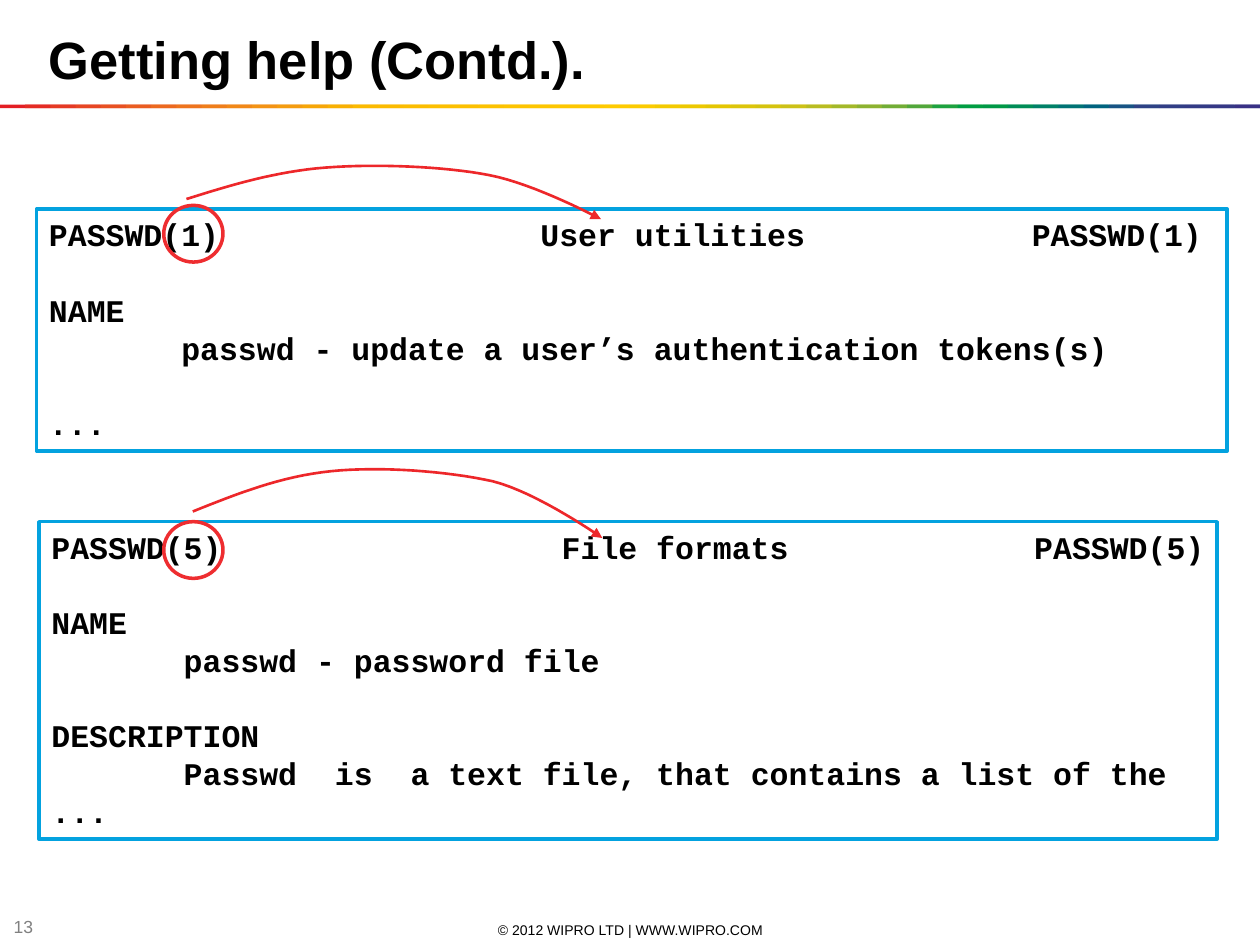
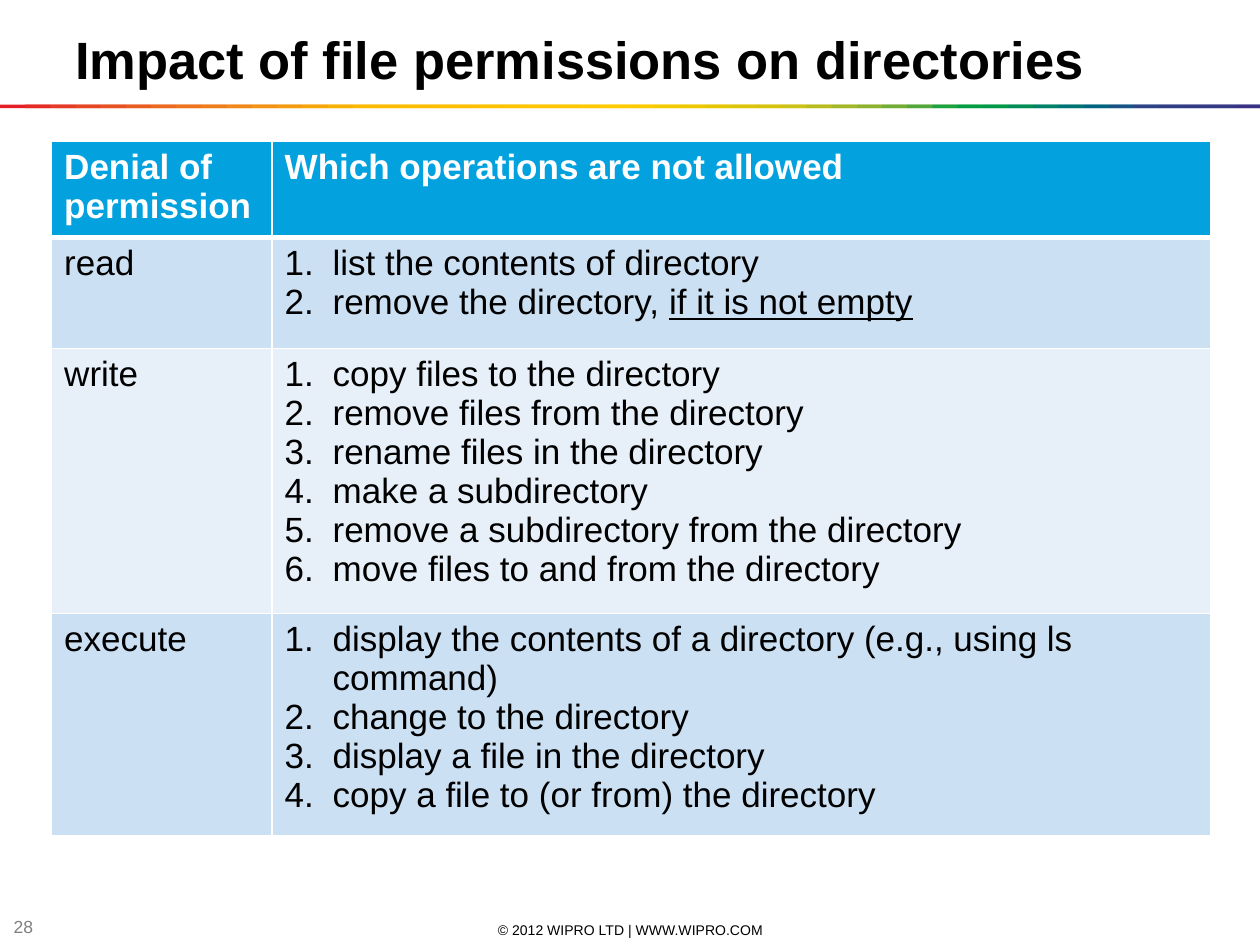
import pptx
import pptx.util
import pptx.dml.color
import pptx.enum.shapes
import pptx.enum.text
import pptx.oxml
import pptx.oxml.ns
from lxml import etree

Inches = pptx.util.Inches
Pt = pptx.util.Pt
RGBColor = pptx.dml.color.RGBColor
MSO_SHAPE = pptx.enum.shapes.MSO_SHAPE
MSO_ANCHOR = pptx.enum.text.MSO_ANCHOR
PP_ALIGN = pptx.enum.text.PP_ALIGN
qn = pptx.oxml.ns.qn

BLACK = RGBColor(0x00, 0x00, 0x00)
WHITE = RGBColor(0xFF, 0xFF, 0xFF)
GREY = RGBColor(0x80, 0x80, 0x80)
BLUE = RGBColor(0x03, 0xA2, 0xDF)
RING_RED = RGBColor(0xEE, 0x2D, 0x30)
ARROW_RED = RGBColor(0xED, 0x27, 0x2A)
ROW_DARK = RGBColor(0xCC, 0xE0, 0xF3)
ROW_LIGHT = RGBColor(0xE7, 0xF0, 0xF9)
RAINBOW = [RGBColor.from_string(code) for code in """
E31E24 E42C24 E53A24 E74623 E85122 EA5D21 EC691F EE741D EF7E1A F18817
F39314 F49C0F F6A607 F8B002 FBBA00 FBBB00 FBBD00 FCBF00 FCC000 FCC200
FDC400 FDC600 FDC700 FEC900 FECB00 FBCB00 F3CA00 ECC800 E4C602 DCC50A
D5C30E CCC117 B8BC21 A3B829 8CB230 71AD36 51A73B 1DA240 009D43 009846
008C57 008068 007275 00637F 185384 2E4285 313E85 333B85 353885 393185
""".split()]

SLIDE_WIDTH = 10
SANS = "Arial"
MONO = "Courier New"
MONO_SIZE = 18
CHARACTER_WIDTH = 0.15
BLANK_LINE = 21.5
FOOTER = "© 2012 WIPRO LTD | WWW.WIPRO.COM"


def style_runs(paragraph, size, color=BLACK, bold=False, font=SANS):
    for run in paragraph.runs:
        run.font.name = font
        run.font.size = Pt(size)
        run.font.bold = bold
        run.font.color.rgb = color


def add_label(slide, box, text, size, color=BLACK, bold=False, align=PP_ALIGN.LEFT, inset=0):
    frame = slide.shapes.add_textbox(*map(Inches, box)).text_frame
    frame.word_wrap = True
    frame.vertical_anchor = MSO_ANCHOR.MIDDLE
    frame.margin_top = frame.margin_bottom = Inches(inset)
    frame.text = text
    frame.paragraphs[0].alignment = align
    style_runs(frame.paragraphs[0], size, color, bold)


def add_shape(shapes, kind, box, fill=None, line=None):
    shape = shapes.add_shape(kind, *map(Inches, box))
    shape.shadow.inherit = False
    if fill is None:
        shape.fill.background()
    else:
        shape.fill.solid()
        shape.fill.fore_color.rgb = fill
    if line is None:
        shape.line.fill.background()
    else:
        shape.line.color.rgb = line
        shape.line.width = Pt(2)
    return shape


def add_rainbow_band(slide, top, height):
    band = slide.shapes.add_group_shape()
    step = SLIDE_WIDTH / len(RAINBOW)
    for index, color in enumerate(RAINBOW):
        left = index * step
        width = min(2 * step, SLIDE_WIDTH - left)
        add_shape(band.shapes, MSO_SHAPE.RECTANGLE, (left, top, width, height), color)


def add_framed_slide(presentation, title, title_left, number):
    slide = presentation.slides.add_slide(presentation.slide_layouts[6])
    add_label(slide, (3.42, 7.3, 3.17, 0.16), FOOTER, 8, align=PP_ALIGN.CENTER)
    add_label(slide, (0.01, 7.27, 0.39, 0.16), number, 10, GREY)
    add_rainbow_band(slide, 0.83, 0.03)
    title_box = (title_left, 0.16, SLIDE_WIDTH - 0.5 - title_left, 0.61)
    add_label(slide, title_box, title, 30, bold=True, inset=0.05)
    return slide


def set_tabs(paragraph, columns):
    tab_list = etree.SubElement(paragraph._p.get_or_add_pPr(), qn("a:tabLst"))
    for column in columns:
        position = str(Inches(column * CHARACTER_WIDTH))
        etree.SubElement(tab_list, qn("a:tab"), pos=position, algn="l")


def curve_points(points, steps=16):
    result = [points[0]]
    for start in range(0, len(points) - 1, 3):
        controls = points[start:start + 4]
        for step in range(1, steps + 1):
            t = step / steps
            weights = ((1 - t) ** 3, 3 * t * (1 - t) ** 2, 3 * t * t * (1 - t), t ** 3)
            result.append(tuple(sum(weight * point[axis] for weight, point in zip(weights, controls))
                                for axis in (0, 1)))
    return result


def add_curved_arrow(slide, points):
    start, *rest = [(Inches(x), Inches(y)) for x, y in curve_points(points)]
    builder = slide.shapes.build_freeform(*start)
    builder.add_line_segments(rest, close=False)
    arrow = builder.convert_to_shape()
    arrow.shadow.inherit = False
    arrow.fill.background()
    arrow.line.color.rgb = ARROW_RED
    arrow.line.width = Pt(1.5)
    etree.SubElement(arrow._element.spPr.find(qn("a:ln")), qn("a:tailEnd"), type="triangle")


def add_manual_page(slide, box, sections, tab_columns, ring_offset, arrow_offsets):
    left, top = box[:2]
    frame = add_shape(slide.shapes, MSO_SHAPE.RECTANGLE, box, WHITE, BLUE).text_frame
    frame.word_wrap = True
    frame.vertical_anchor = MSO_ANCHOR.TOP
    frame.margin_right = 0
    frame.text = "\n".join(line for section in sections for line in section)
    section_starts = {sum(map(len, sections[:index])) for index in range(1, len(sections))}
    for index, paragraph in enumerate(frame.paragraphs):
        if "\t" in paragraph.text:
            set_tabs(paragraph, tab_columns[0 if index == 0 else 1])
        paragraph.alignment = PP_ALIGN.LEFT
        if index in section_starts:
            paragraph.space_before = Pt(BLANK_LINE)
        style_runs(paragraph, MONO_SIZE, bold=True, font=MONO)
    ring_box = (left + ring_offset[0], top + ring_offset[1], 0.47, 0.45)
    add_shape(slide.shapes, MSO_SHAPE.OVAL, ring_box, line=RING_RED)
    add_curved_arrow(slide, [(left + x, top + y) for x, y in arrow_offsets])


def set_borders(cell, top_width, bottom_width):
    properties = cell._tc.get_or_add_tcPr()
    widths = {"lnL": 1, "lnR": 1, "lnT": top_width, "lnB": bottom_width}
    for index, (side, width) in enumerate(widths.items()):
        line = etree.Element(qn("a:" + side), w=str(Pt(width)))
        fill = etree.SubElement(line, qn("a:solidFill"))
        etree.SubElement(fill, qn("a:srgbClr"), val=str(WHITE))
        properties.insert(index, line)


def number_paragraph(paragraph):
    properties = paragraph._p.get_or_add_pPr()
    properties.set("marL", str(Inches(0.38)))
    properties.set("indent", str(-Inches(0.38)))
    etree.SubElement(properties, qn("a:buFont"), typeface="+mj-lt")
    etree.SubElement(properties, qn("a:buAutoNum"), type="arabicPeriod")


def fill_cell(cell, lines, fill, color=BLACK, bold=False, numbered=False):
    cell.fill.solid()
    cell.fill.fore_color.rgb = fill
    frame = cell.text_frame
    frame.text = "\n".join(lines)
    for paragraph in frame.paragraphs:
        plain, _, underlined = paragraph.text.partition("|")
        if numbered:
            number_paragraph(paragraph)
        if underlined:
            paragraph.runs[0].text = plain
            run = paragraph.add_run()
            run.text = underlined
            run.font.underline = True
        style_runs(paragraph, 20, color, bold)


def add_permission_table(slide, left, top, column_widths, row_heights, headings, rows):
    size = (sum(column_widths), sum(row_heights))
    table = slide.shapes.add_table(len(row_heights), len(column_widths),
                                   *map(Inches, (left, top, *size))).table
    for column, width in zip(table.columns, column_widths):
        column.width = Inches(width)
    for row, height in zip(table.rows, row_heights):
        row.height = Inches(height)
    for index, heading in enumerate(headings):
        fill_cell(table.cell(0, index), [heading], BLUE, WHITE, bold=True)
        set_borders(table.cell(0, index), 1, 3)
    for index, (permission, operations) in enumerate(rows, start=1):
        fill = ROW_DARK if index % 2 else ROW_LIGHT
        fill_cell(table.cell(index, 0), [permission], fill)
        fill_cell(table.cell(index, 1), operations, fill, numbered=True)
        for column in (0, 1):
            set_borders(table.cell(index, column), 3 if index == 1 else 1, 1)


def build_help_slide(presentation):
    slide = add_framed_slide(presentation, "Getting help (Contd.).", 0.29, "13")
    add_manual_page(
        slide, (0.29, 1.66, 9.45, 1.92),
        [["PASSWD(1)\tUser utilities\tPASSWD(1)"],
         ["NAME", "       passwd - update a user’s authentication tokens(s)"],
         ["..."]],
        [(26, 52)], (1.01, -0.03),
        [(1.19, -0.08), (1.54, -0.19), (1.9, -0.3), (2.3, -0.33), (2.7, -0.36),
         (3.23, -0.34), (3.59, -0.27), (3.96, -0.2), (4.48, 0.08), (4.48, 0.08)])
    add_manual_page(
        slide, (0.31, 4.14, 9.35, 2.52),
        [["PASSWD(5)\tFile formats\tPASSWD(5)"],
         ["NAME", "       passwd - password file"],
         ["DESCRIPTION", "       Passwd\tis\ta text file, that contains a list of the", "..."]],
        [(27, 52), (15, 19)], (0.99, 0),
        [(1.22, -0.08), (1.57, -0.22), (1.92, -0.36), (2.32, -0.4), (2.71, -0.44),
         (3.24, -0.4), (3.6, -0.32), (3.96, -0.23), (4.47, 0.13), (4.47, 0.13)])


def build_permissions_slide(presentation):
    slide = add_framed_slide(presentation, "Impact of file permissions on directories", 0.5, "28")
    add_permission_table(
        slide, 0.41, 1.12, (1.75, 7.45), (0.76, 0.88, 2.07, 1.41),
        ("Denial of permission", "Which operations are not allowed"),
        [("read", ["list the contents of directory",
                   "remove the directory, |if it is not empty"]),
         ("write", ["copy files to the directory",
                    "remove files from the directory",
                    "rename files in the directory",
                    "make a subdirectory",
                    "remove a subdirectory from the directory",
                    "move files to and from the directory"]),
         ("execute", ["display the contents of a directory (e.g., using ls command)",
                      "change to the directory",
                      "display a file in the directory",
                      "copy a file to (or from) the directory"])])


def main():
    presentation = pptx.Presentation()
    presentation.slide_width = Inches(SLIDE_WIDTH)
    presentation.slide_height = Inches(7.5)
    build_help_slide(presentation)
    build_permissions_slide(presentation)
    presentation.save("out.pptx")


if __name__ == "__main__":
    main()
